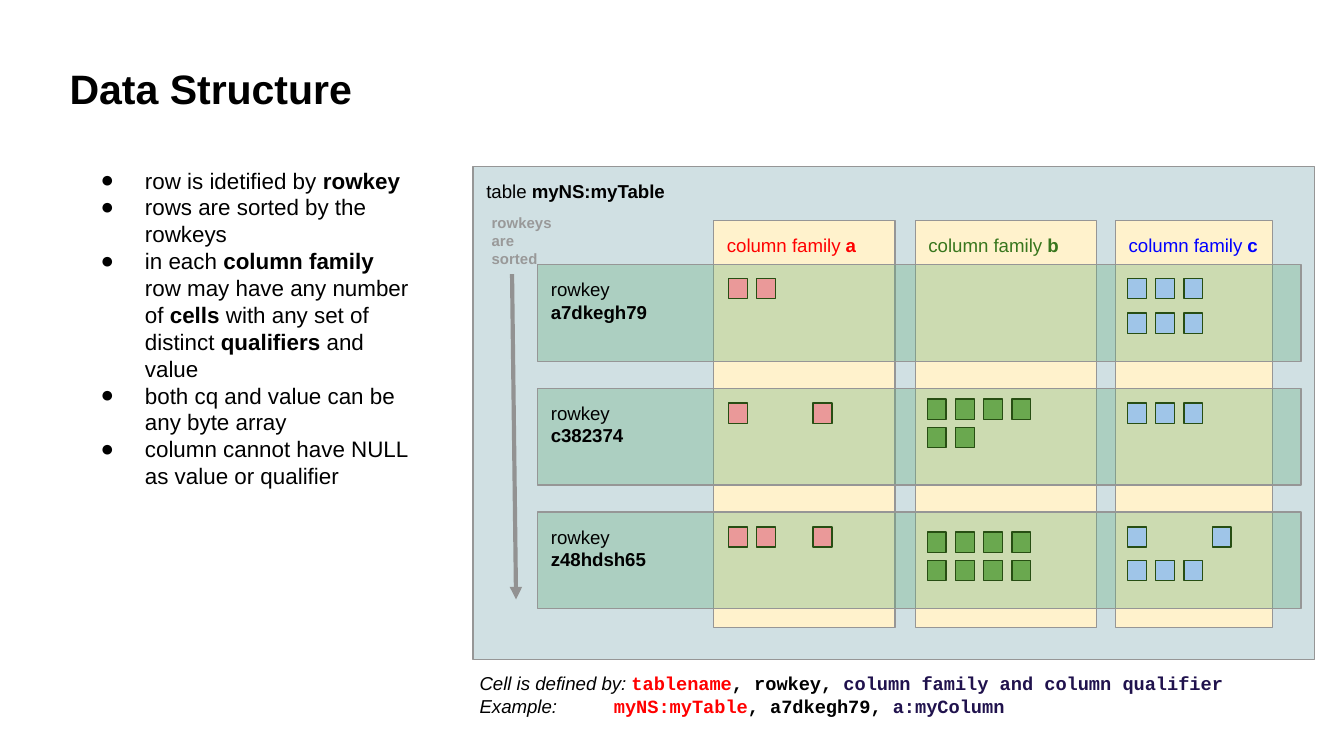
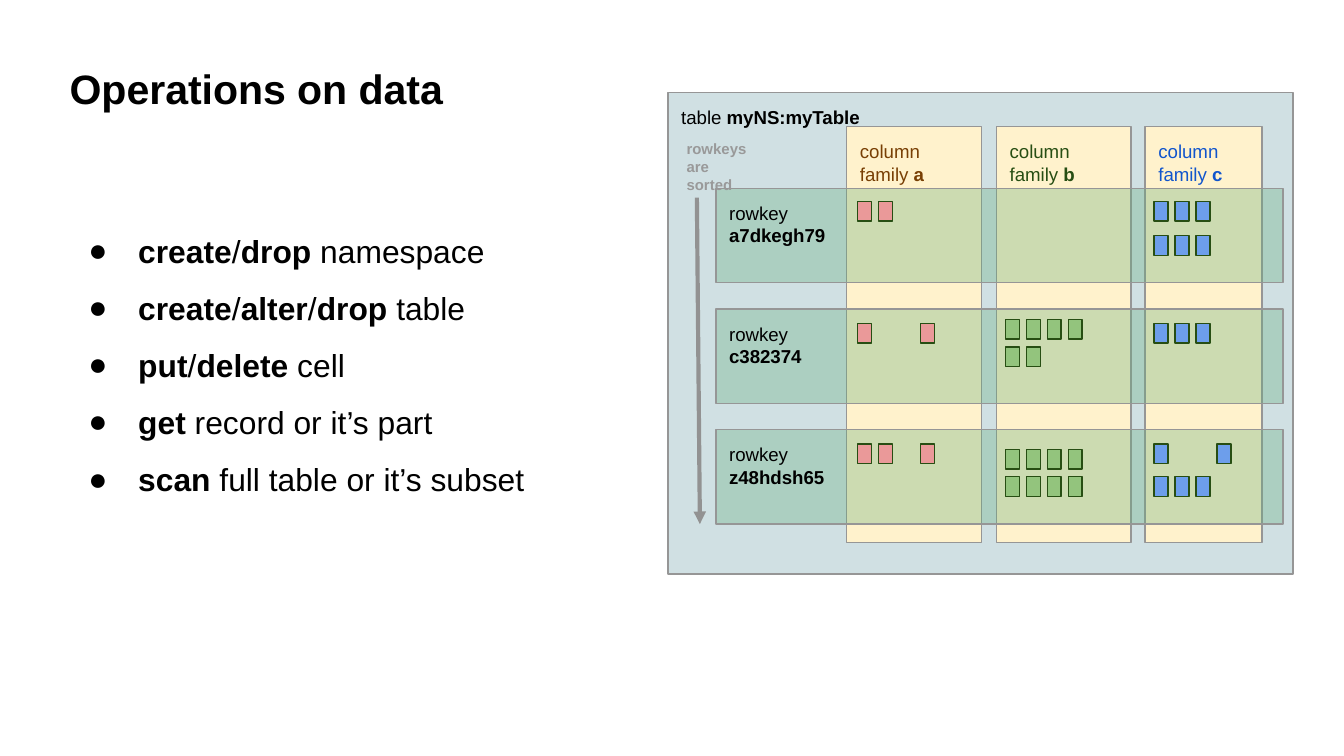
from copy import deepcopy
from dataclasses import dataclass

from lxml.etree import SubElement as sub_element
from pptx import Presentation
from pptx.dml.color import RGBColor
from pptx.enum.shapes import MSO_CONNECTOR as Connector, MSO_SHAPE as Shape
from pptx.enum.text import MSO_ANCHOR as Anchor, PP_ALIGN as Align
from pptx.oxml.ns import qn
from pptx.util import Inches, Pt


@dataclass(frozen=True)
class Theme:
    """Colours, fonts and sizes shared by the slides."""

    sans: str = "Arial"
    mono: str = "Courier New"
    title_size: int = 22
    operations_size: int = 17
    structure_size: int = 12
    label_size: int = 10
    hint_size: int = 8
    ink: str = "000000"
    red: str = "FF0000"
    green: str = "38761D"
    blue: str = "0000FF"
    navy: str = "20124D"
    brown: str = "783F04"
    dark_green: str = "274E13"
    dark_blue: str = "1155CC"
    hint: str = "999999"
    panel: str = "D0E0E3"
    family: str = "FFF2CC"
    row: str = "63AC7B"
    row_opacity: int = 32
    pink_cell: str = "EA9999"
    green_cell: str = "6AA84F"
    blue_cell: str = "9FC5E8"
    light_green_cell: str = "93C47D"
    strong_blue_cell: str = "6D9EEB"
    border: str = "969696"
    arrow: str = "929292"
    border_width: float = 0.75
    arrow_width: float = 2.25


THEME = Theme()
TITLE_BOX = (0.42, 0.37, 8.07, 1.07)
PANEL_SIZE = (6.26, 3.67)
FAMILIES = [("a", 1.79, 1.35), ("b", 3.29, 1.35), ("c", 4.78, 1.17)]
FAMILY_BOTTOM = 3.43
ROWKEYS = ["a7dkegh79", "c382374", "z48hdsh65"]
ROW_LEFT, ROW_TOP, ROW_WIDTH, ROW_HEIGHT, ROW_PITCH = 0.48, 0.73, 5.68, 0.72, 0.92
CELL_WIDTH, CELL_HEIGHT, CELL_PITCH = 0.14, 0.15, 0.21
CELL_LEFT = {"a": 1.9, "b": 3.38, "c": 4.87}
CELL_LINES = [
    {"a": [(0.1, [0, 1])], "c": [(0.1, [0, 1, 2]), (0.36, [0, 1, 2])]},
    {"a": [(0.11, [0, 3])], "b": [(0.08, [0, 1, 2, 3]), (0.29, [0, 1])],
     "c": [(0.11, [0, 1, 2])]},
    {"a": [(0.11, [0, 1, 3])], "b": [(0.15, [0, 1, 2, 3]), (0.36, [0, 1, 2, 3])],
     "c": [(0.11, [0, 3]), (0.36, [0, 1, 2])]},
]


def rgb(value):
    """Turn a hex string into a colour."""
    return RGBColor.from_string(value)


def spans_of(text):
    """Split text at asterisks; every second part is bold."""
    return [(part, {"bold": index % 2 == 1})
            for index, part in enumerate(text.split("*")) if part]


def add_bullet(paragraph, indent, size):
    """Give a paragraph a round bullet with a hanging indent."""
    properties = paragraph._p.get_or_add_pPr()
    properties.set("marL", str(Inches(0.5)))
    properties.set("indent", str(-Inches(indent)))
    colour = sub_element(properties, qn("a:buClr"))
    sub_element(colour, qn("a:srgbClr")).set("val", THEME.ink)
    sub_element(properties, qn("a:buSzPts")).set("val", str(size * 100))
    sub_element(properties, qn("a:buFont")).set("typeface", THEME.sans)
    sub_element(properties, qn("a:buChar")).set("char", "●")


def add_run(paragraph, text, size, colour, font=THEME.sans, bold=False, italic=False):
    """Add formatted text, turning newlines into line breaks."""
    for index, line in enumerate(text.split("\n")):
        if index:
            paragraph.add_line_break()
            paragraph._p[-1].append(deepcopy(run._r.rPr))
        if line or not index:
            run = paragraph.add_run()
            run.text = line
            run.font.name, run.font.size = font, Pt(size)
            run.font.bold, run.font.italic = bold, italic
            run.font.color.rgb = rgb(colour)


def write(shape, paragraphs, size=THEME.label_size, colour=THEME.ink, spacing=None, bullet=None):
    """Fill a shape with paragraphs of marked-up text or of styled spans."""
    frame = shape.text_frame
    frame.word_wrap = True
    frame.vertical_anchor = Anchor.TOP
    frame.margin_left = frame.margin_right = Inches(0.1)
    frame.margin_top = frame.margin_bottom = Inches(0.1)
    for index, content in enumerate(paragraphs):
        paragraph = frame.add_paragraph() if index else frame.paragraphs[0]
        paragraph.alignment = Align.LEFT
        if bullet:
            add_bullet(paragraph, bullet, size)
        if spacing:
            paragraph.line_spacing = spacing
        spans = spans_of(content) if isinstance(content, str) else content
        for text, style in spans:
            add_run(paragraph, text, **{"size": size, "colour": colour, **style})


def add_text(slide, box, paragraphs, **style):
    """Add a text box."""
    write(slide.shapes.add_textbox(*map(Inches, box)), paragraphs, **style)


def add_box(slide, box, fill, border=THEME.border, opacity=None):
    """Add a bordered rectangle."""
    shape = slide.shapes.add_shape(Shape.RECTANGLE, *map(Inches, box))
    shape.shadow.inherit = False
    shape.fill.solid()
    shape.fill.fore_color.rgb = rgb(fill)
    shape.line.color.rgb = rgb(border)
    shape.line.width = Pt(THEME.border_width)
    if opacity:
        colour = shape._element.spPr.find(qn("a:solidFill"))[0]
        sub_element(colour, qn("a:alpha")).set("val", str(opacity * 1000))
    return shape


def add_arrow(slide, start, end):
    """Add a grey line with an arrowhead at its end."""
    arrow = slide.shapes.add_connector(Connector.STRAIGHT, *map(Inches, start + end))
    arrow.line.color.rgb = rgb(THEME.arrow)
    arrow.line.width = Pt(THEME.arrow_width)
    line = arrow._element.spPr.find(qn("a:ln"))
    sub_element(line, qn("a:tailEnd")).set("type", "triangle")
    sub_element(arrow._element.spPr, qn("a:effectLst"))


def add_table_diagram(slide, box, family_top, arrow_end, head_colours, cell_colours):
    """Draw the table with its column families, rows and cells, scaled to the box."""
    left, top, width, height = box
    scale_x, scale_y = width / PANEL_SIZE[0], height / PANEL_SIZE[1]

    def place(x, y, wide=0, high=0):
        """Scale a box of the diagram and move it to the slide."""
        return left + x * scale_x, top + y * scale_y, wide * scale_x, high * scale_y

    write(add_box(slide, box, THEME.panel), ["table *myNS:myTable*"])
    for (name, x, wide), colour in zip(FAMILIES, head_colours):
        family_box = place(x, family_top, wide, FAMILY_BOTTOM - family_top)
        write(add_box(slide, family_box, THEME.family), [f"column family *{name}*"],
              colour=colour)
    for index, rowkey in enumerate(ROWKEYS):
        row_box = place(ROW_LEFT, ROW_TOP + index * ROW_PITCH, ROW_WIDTH, ROW_HEIGHT)
        write(add_box(slide, row_box, THEME.row, opacity=THEME.row_opacity),
              [f"rowkey\n*{rowkey}*"])
    add_arrow(slide, place(0.29, 0.8)[:2], place(0.32, arrow_end)[:2])
    add_text(slide, (left + 0.04, top + 0.25, 0.78, 0.4), ["*rowkeys \nare\nsorted*"],
             size=THEME.hint_size, colour=THEME.hint)
    fills = dict(zip(CELL_LEFT, cell_colours))
    for index, families in enumerate(CELL_LINES):
        for name, lines in families.items():
            for offset, slots in lines:
                for slot in slots:
                    cell_box = place(CELL_LEFT[name] + slot * CELL_PITCH,
                                     ROW_TOP + index * ROW_PITCH + offset,
                                     CELL_WIDTH, CELL_HEIGHT)
                    add_box(slide, cell_box, fills[name], THEME.dark_green)


def add_cell_definition(slide, box):
    """Write how a cell is addressed, with an example."""
    address = [("Cell is defined by: ", "tablename", ", rowkey, ",
                "column family and column qualifier"),
               ("Example: \t", "myNS:myTable", ", a7dkegh79, ", "a:myColumn")]
    colours = (THEME.red, THEME.ink, THEME.navy)
    add_text(slide, box, [
        [(lead, {"italic": True})]
        + [(part, {"font": THEME.mono, "bold": True, "colour": colour})
           for part, colour in zip(parts, colours)]
        for lead, *parts in address])


def add_titled_slide(presentation, title):
    """Add a blank slide with the shared title style."""
    slide = presentation.slides.add_slide(presentation.slide_layouts[6])
    add_text(slide, TITLE_BOX, [f"*{title}*"], size=THEME.title_size)
    return slide


def build_structure_slide(presentation):
    """Build the slide on the data structure."""
    slide = add_titled_slide(presentation, "Data Structure")
    add_text(slide, (0.48, 1.14, 2.69, 3.67), [
        "row is idetified by *rowkey*",
        "rows are sorted by the rowkeys",
        "in each *column family* row may have any number of *cells* "
        "with any set of distinct *qualifiers* and value",
        "both cq and value can be any byte array",
        "column cannot have NULL as value or qualifier",
    ], size=THEME.structure_size, bullet=0.33)
    add_table_diagram(slide, (3.52, 1.24, 6.26, 3.67), 0.4, 3.22,
                      (THEME.red, THEME.green, THEME.blue),
                      (THEME.pink_cell, THEME.green_cell, THEME.blue_cell))
    add_cell_definition(slide, (3.47, 4.9, 6.03, 0.72))


def build_operations_slide(presentation):
    """Build the slide on operations."""
    slide = add_titled_slide(presentation, "Operations on data")
    add_text(slide, (0.43, 1.48, 4.38, 3.67), [
        "*create*/*drop* namespace",
        "*create*/*alter*/*drop* table",
        "*put*/*delete* cell",
        "*get* record or it’s part",
        "*scan* full table or it’s subset",
    ], size=THEME.operations_size, spacing=1.5, bullet=0.37)
    add_table_diagram(slide, (4.97, 0.69, 4.65, 3.58), 0.26, 3.29,
                      (THEME.brown, THEME.dark_green, THEME.dark_blue),
                      (THEME.pink_cell, THEME.light_green_cell, THEME.strong_blue_cell))


def main():
    """Build and save the presentation."""
    presentation = Presentation()
    presentation.slide_width = Inches(10)
    presentation.slide_height = Inches(10) * 9 // 16
    build_structure_slide(presentation)
    build_operations_slide(presentation)
    presentation.save("out.pptx")


if __name__ == "__main__":
    main()
